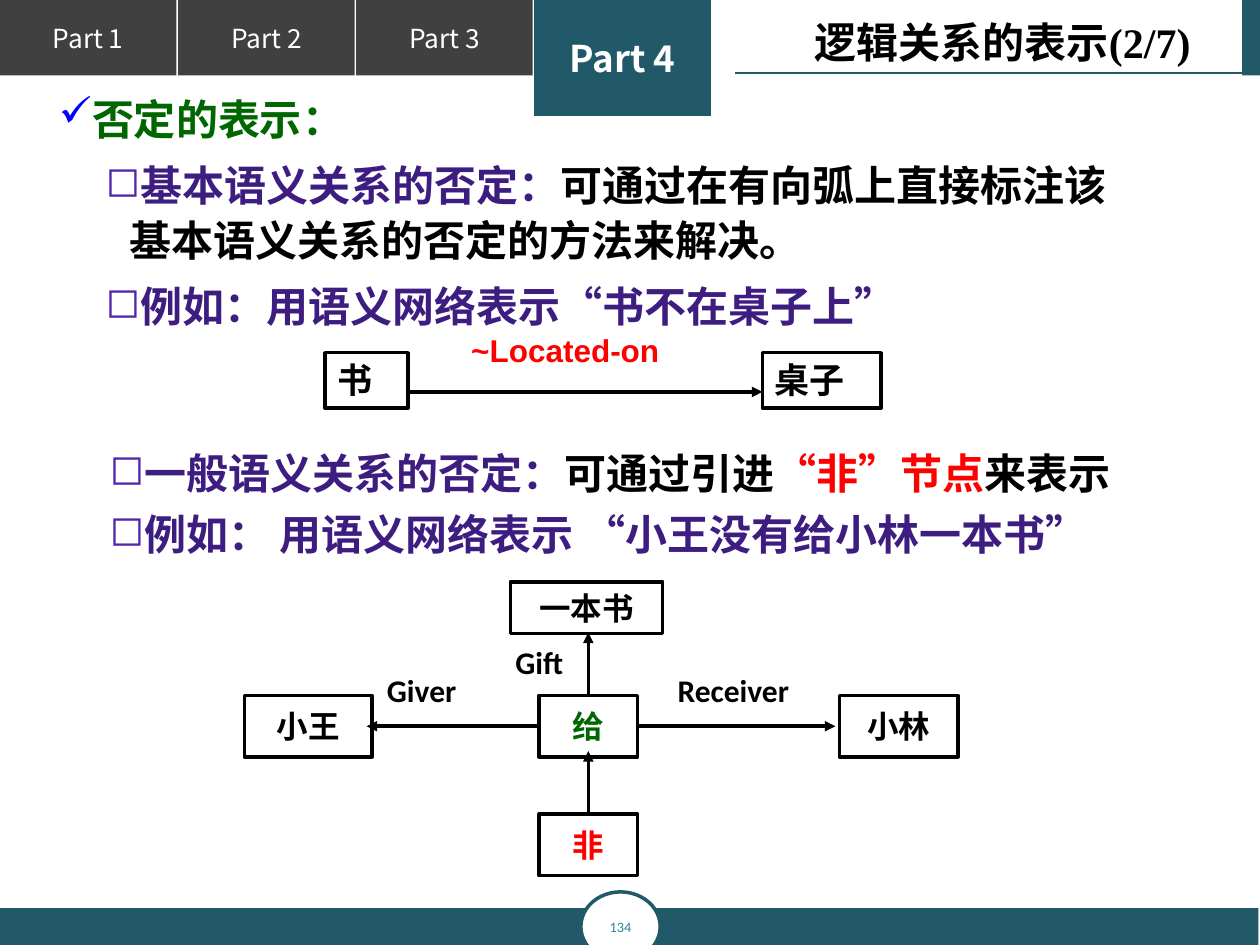
from lxml.etree import SubElement
from pptx import Presentation
from pptx.dml.color import RGBColor
from pptx.enum.lang import MSO_LANGUAGE_ID
from pptx.enum.shapes import MSO_CONNECTOR, MSO_SHAPE
from pptx.enum.text import MSO_ANCHOR, PP_ALIGN
from pptx.oxml.ns import qn
from pptx.util import Cm, Pt

HUES = {
    "black": "000000", "white": "FFFFFF", "gray": "404040", "teal": "215968",
    "page": "31859C", "red": "FF0000", "green": "006600", "blue": "0000FF",
    "violet": "3E1D81", "bullet": "5226AA",
}
HAN, SERIF, SANS, BODY = "Noto Sans CJK SC", "Times New Roman", "Arial", "Calibri"


def hue(name):
    return RGBColor.from_string(HUES[name])


def write(para, text, font=BODY, size=18, color="black", bold=True):
    """Add one run of text to a paragraph."""
    run = para.add_run()
    run.text = text
    face = run.font
    face.name, face.size, face.bold = font, Pt(size), bold
    face.color.rgb = hue(color)
    face.language_id = MSO_LANGUAGE_ID.SIMPLIFIED_CHINESE
    SubElement(face._element, qn("a:ea"), typeface=HAN)


class Slide:
    def __init__(self, deck):
        self.page = deck.slides.add_slide(deck.slide_layouts[6])
        self.shapes = self.page.shapes

    def block(self, box, fill=None, line=None, kind=MSO_SHAPE.RECTANGLE):
        shape = self.shapes.add_shape(kind, *map(Cm, box))
        shape.shadow.inherit = False
        if fill:
            shape.fill.solid()
            shape.fill.fore_color.rgb = hue(fill)
        else:
            shape.fill.background()
        if line:
            shape.line.color.rgb = hue(line)
            shape.line.width = Pt(2)
        else:
            shape.line.fill.background()
        return shape

    def center(self, shape, text, **style):
        frame = shape.text_frame
        frame.word_wrap = False
        frame.vertical_anchor = MSO_ANCHOR.MIDDLE
        frame.paragraphs[0].alignment = PP_ALIGN.CENTER
        write(frame.paragraphs[0], text, **style)

    def node(self, box, text, **style):
        self.center(self.block(box, line="black"), text, **style)

    def left_node(self, box, text):
        """Draw a node whose text starts at the top left."""
        frame = self.block(box, line="black").text_frame
        frame.vertical_anchor = MSO_ANCHOR.TOP
        frame.paragraphs[0].alignment = PP_ALIGN.LEFT
        write(frame.paragraphs[0], text, font=SANS, size=20)

    def frame(self, box, inset=(0.25, 0.13)):
        frame = self.shapes.add_textbox(*map(Cm, box)).text_frame
        frame.word_wrap = True
        frame.margin_left = frame.margin_right = Cm(inset[0])
        frame.margin_top = frame.margin_bottom = Cm(inset[1])
        return frame

    def label(self, box, text, inset=(0.15, 0.03), **style):
        write(self.frame(box, inset).paragraphs[0], text, **style)

    def line(self, start, end, color="black", width=2, head=True):
        line = self.shapes.add_connector(
            MSO_CONNECTOR.STRAIGHT, *map(Cm, (*start, *end)))
        line.line.color.rgb = hue(color)
        line.line.width = Pt(width)
        if head:
            SubElement(line.line._get_or_add_ln(), qn("a:tailEnd"), type="triangle")
        SubElement(line._element.spPr, qn("a:effectLst"))

    def bullets(self, box, items, spacing):
        """Each item is (level, list of (text, font, color))."""
        frame = self.frame(box)
        for i, (level, runs) in enumerate(items):
            para = frame.add_paragraph() if i else frame.paragraphs[0]
            para.level = level
            para.line_spacing = spacing
            if i:
                para.space_before = Pt(6)
            left, hang, mark, color = (
                (2.39, 0.48, "◻", "bullet") if level > 1 else (1.55, 0.58, "✓", "blue"))
            props = para._p.get_or_add_pPr()
            props.set("marL", str(Cm(left)))
            props.set("indent", str(-Cm(hang)))
            tint = SubElement(props, qn("a:buClr"))
            SubElement(tint, qn("a:srgbClr"), val=HUES[color])
            SubElement(props, qn("a:buChar"), char=mark)
            for text, font, shade in runs:
                write(para, text, font=font, size=24, color=shade)


def build():
    deck = Presentation()
    deck.slide_width, deck.slide_height = Cm(25.4), Cm(19.05)
    slide = Slide(deck)

    # Tabs, header rule and footer
    for i in range(4):
        live = i == 3
        tab = slide.block((i * 3.59, 0, 3.56, 2.34 if live else 1.52),
                          fill="teal" if live else "gray")
        slide.center(tab, f"Part {i + 1}", font=HAN, size=21 if live else 15,
                     color="white", bold=live)
    slide.block((25.04, 0, 0.36, 1.52), fill="teal")
    slide.block((0, 18.31, 25.37, 0.74), fill="teal")
    badge = slide.block((11.71, 17.98, 1.6, 1.4), "white", "teal", MSO_SHAPE.OVAL)
    slide.center(badge, "134", size=8.2, color="page", bold=False)
    slide.line((25.22, 1.47), (14.81, 1.47), "teal", 0.75, head=False)

    slide.bullets((-0.03, 1.65, 22.94, 5.28), [
        (1, [("否定的表示：", SERIF, "green")]),
        (2, [("基本语义关系的否定：", HAN, "violet"),
             ("可通过在有向弧上直接标注该基本语义关系的否定的方法来解决。", SERIF, "black")]),
        (2, [("例如：用语义网络表示“书不在桌子上”", SERIF, "violet")]),
    ], 1.1)

    # Negated basic relation
    slide.left_node((6.55, 7.11, 1.68, 1.12), "书")
    slide.left_node((15.37, 7.11, 2.39, 1.12), "桌子")
    slide.line((8.23, 7.9), (15.37, 7.9))
    slide.label((9.25, 6.55, 5.72, 1.02), "~Located-on", (0.25, 0.13),
                font=SANS, color="red")

    # Negation through a separate node
    mid, row, high = 11.86, 14.02, 1.24
    axis = row + high / 2
    slide.node((10.29, 11.73, 3.07, 1.04), "一本书")
    slide.node((4.93, row, 2.57, high), "小王")
    slide.node((mid - 0.99, row, 1.98, high), "给", color="green")
    slide.node((16.92, row, 2.39, high), "小林")
    slide.node((mid - 0.99, 16.41, 1.98, high), "非", color="red")
    slide.line((mid, row), (mid, 12.75))
    slide.line((mid - 0.99, axis), (7.39, axis))
    slide.line((mid + 0.99, axis), (16.84, axis))
    slide.line((mid, 16.41), (mid, 15.14))
    slide.label((10.24, 12.93, 1.88, 0.81), "Gift")
    slide.label((13.51, 13.49, 3.33, 0.84), "Receiver")
    slide.label((7.65, 13.49, 2.82, 0.84), "Giver")

    slide.bullets((0.05, 8.89, 24.87, 8.03), [
        (2, [("一般语义关系的否定：", HAN, "violet"), ("可通过引进", SERIF, "black"),
             ("“非”节点", SERIF, "red"), ("来表示", SERIF, "black")]),
        (2, [("例如： 用语义网络表示 “小王没有给小林一本书”", SERIF, "violet")]),
    ], 1.0)
    slide.label((16.18, 0.2, 8.18, 1.27), "逻辑关系的表示(2/7)", (0.25, 0.13),
                font=SERIF, size=24)
    deck.save("out.pptx")


if __name__ == "__main__":
    build()
